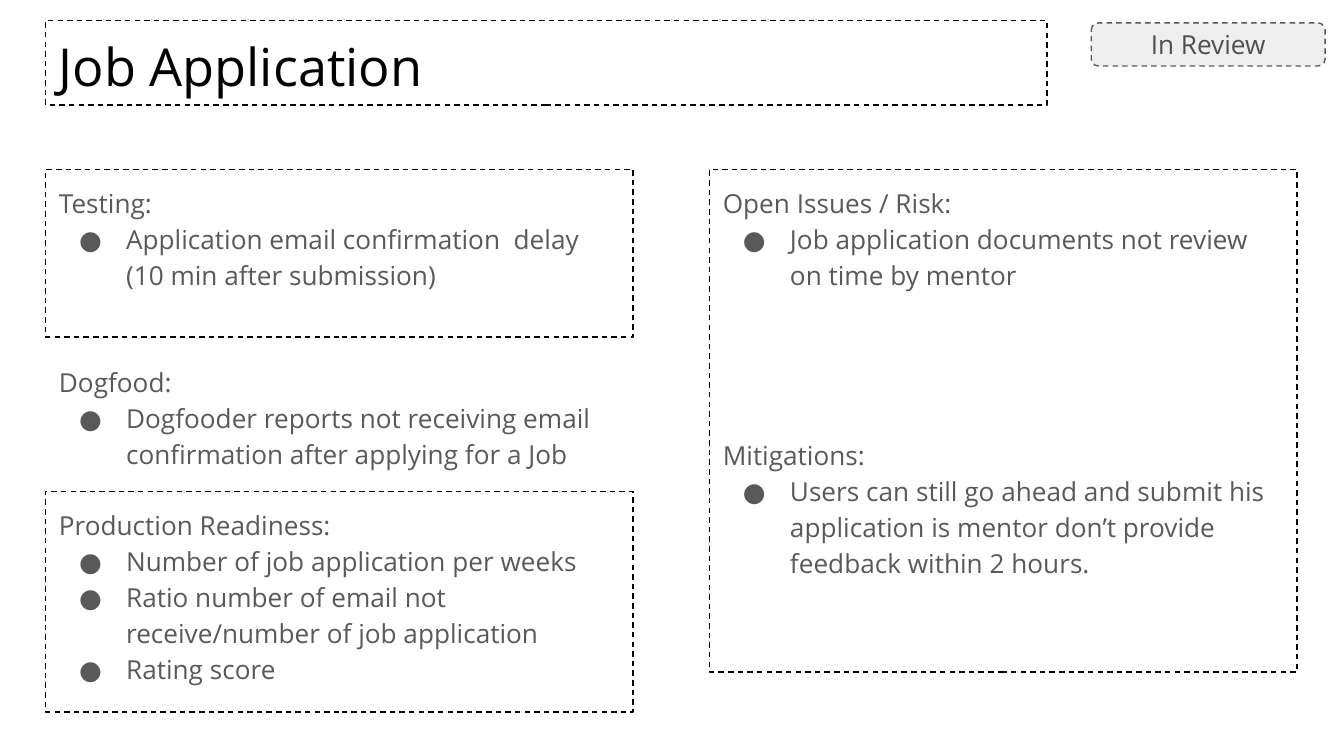
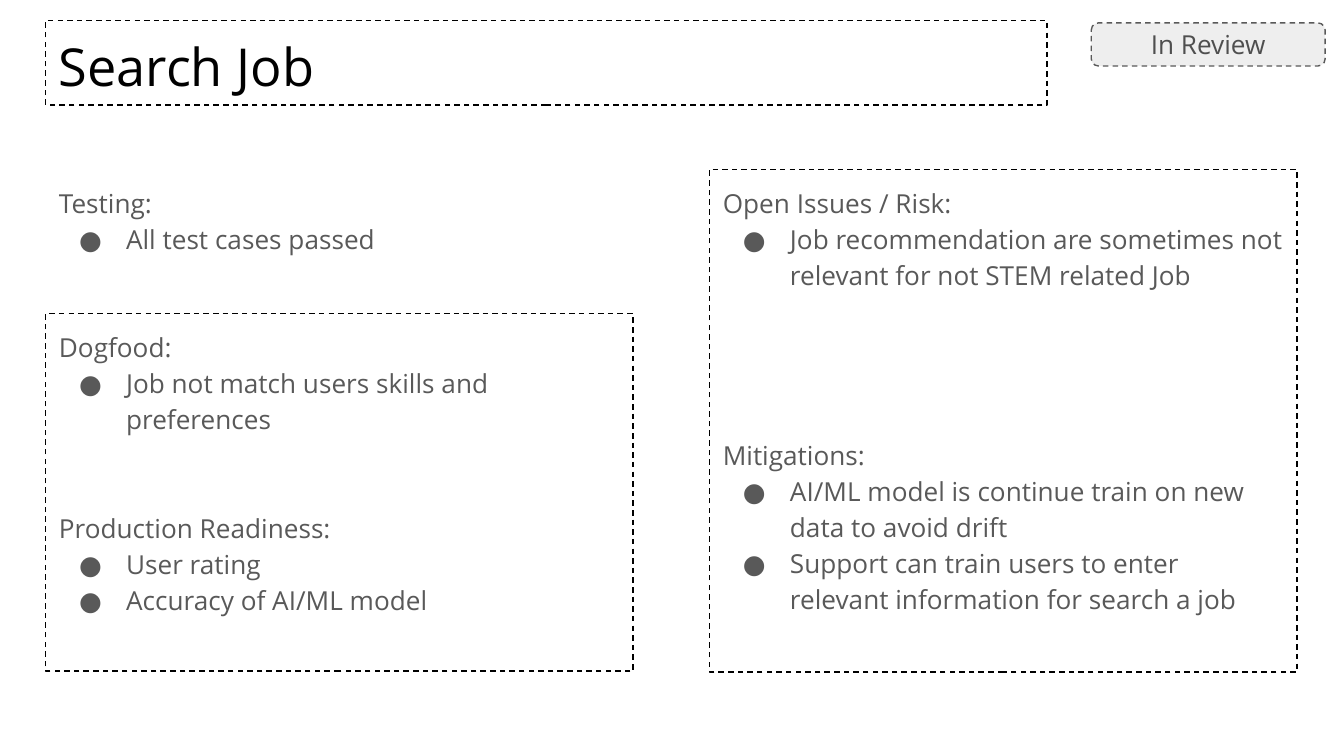
from collections import namedtuple

from lxml.etree import SubElement
from pptx import Presentation
from pptx.dml.color import RGBColor
from pptx.enum.dml import MSO_LINE
from pptx.enum.shapes import MSO_SHAPE
from pptx.enum.text import MSO_ANCHOR, PP_ALIGN
from pptx.oxml.ns import qn
from pptx.util import Inches, Pt

Box = namedtuple("Box", "left top width height")
Section = namedtuple("Section", "heading bullets gap", defaults=(0,))
Panel = namedtuple("Panel", "box sections framed", defaults=(True,))

WIDTH = Inches(10)
HEIGHT = WIDTH * 9 // 16
FONT = "Open Sans"
BLACK, GREY, BADGE_TEXT, BADGE_FILL = "000000", "595959", "4F4F4F", "EEEEEE"

LEFT, RIGHT, COLUMN, TOP = 3.4, 52.8, 43.7, 22.4
TITLE_BOX = Box(LEFT, 2.7, 74.5, 11.2)
BADGE_BOX = Box(81.2, 3.04, 17.4, 5.7)
RISK_BOX = Box(RIGHT, TOP, COLUMN, 66.5)

SLIDES = {
    "Job Application": [
        Panel(Box(LEFT, TOP, COLUMN, 22.2), [
            Section("Testing:", ["Application email confirmation  delay (10 min after submission)"]),
        ]),
        Panel(RISK_BOX, [
            Section("Open Issues / Risk:", ["Job application documents not review on time by mentor"]),
            Section("Mitigations:", [
                "Users can still go ahead and submit his application is mentor "
                "don’t provide feedback within 2 hours.",
            ], gap=77),
        ]),
        Panel(Box(LEFT, 65, COLUMN, 29.2), [
            Section("Production Readiness:", [
                "Number of job application per weeks",
                "Ratio number of email not receive/number of job application",
                "Rating score",
            ]),
        ]),
        Panel(Box(LEFT, 46.1, COLUMN, 17.4), [
            Section("Dogfood:", [
                "Dogfooder reports not receiving email confirmation after applying for a Job",
            ]),
        ], framed=False),
    ],
    "Search Job": [
        Panel(Box(LEFT, TOP, COLUMN, 14.8), [
            Section("Testing:", ["All test cases passed"]),
        ], framed=False),
        Panel(RISK_BOX, [
            Section("Open Issues / Risk:", [
                "Job recommendation are sometimes not relevant for not STEM related Job",
            ]),
            Section("Mitigations:", [
                "AI/ML model is continue train on new data to avoid drift",
                "Support can train users to enter relevant information for search a job",
            ], gap=77),
        ]),
        Panel(Box(LEFT, 41.5, COLUMN, 47.3), [
            Section("Dogfood:", ["Job not match users skills and preferences"]),
            Section("Production Readiness:", ["User rating", "Accuracy of AI/ML model"], gap=39),
        ]),
    ],
}


def color(hex_string):
    """Turn a hex string into a colour."""
    return RGBColor.from_string(hex_string)


def apply(target, formats):
    """Set each attribute of the target from a dict of values."""
    for name, value in formats.items():
        setattr(target, name, value)


def place(box):
    """Turn percentages of the slide into lengths."""
    return [round(share * side / 100) for share, side in zip(box, (WIDTH, HEIGHT) * 2)]


def dash_outline(shape, hex_string):
    """Give the shape a thin dashed outline."""
    apply(shape.line, {"width": Pt(0.75), "dash_style": MSO_LINE.DASH})
    shape.line.color.rgb = color(hex_string)


def prepare_frame(shape, anchor=MSO_ANCHOR.TOP):
    """Set wrapping, anchor and even margins, and return the text frame."""
    frame = shape.text_frame
    apply(frame, {"word_wrap": True, "vertical_anchor": anchor})
    apply(frame, {f"margin_{side}": Inches(0.1) for side in ("left", "top", "right", "bottom")})
    return frame


def write(para, text, size, hex_string, **formats):
    """Write one styled span in a paragraph."""
    apply(para, formats)
    span = para.add_run()
    span.text = text
    apply(span.font, {"name": FONT, "size": Pt(size)})
    span.font.color.rgb = color(hex_string)


def add_bullet(para):
    """Give a paragraph a hanging round bullet."""
    properties = para._p.get_or_add_pPr()
    properties.set("marL", str(Inches(0.5)))
    properties.set("indent", str(-Inches(0.35)))
    bullet_color = SubElement(properties, qn("a:buClr"))
    SubElement(bullet_color, qn("a:srgbClr"), val=GREY)
    SubElement(properties, qn("a:buFont"), typeface=FONT)
    SubElement(properties, qn("a:buChar"), char="●")


def add_title(page, box, text):
    """Add the framed slide title."""
    shape = page.shapes.add_textbox(*place(box))
    dash_outline(shape, BLACK)
    write(prepare_frame(shape).paragraphs[0], text, 28, BLACK)


def add_badge(page, box, text):
    """Add the rounded status badge."""
    shape = page.shapes.add_shape(MSO_SHAPE.ROUNDED_RECTANGLE, *place(box))
    shape.shadow.inherit = False
    shape.fill.solid()
    shape.fill.fore_color.rgb = color(BADGE_FILL)
    dash_outline(shape, GREY)
    para = prepare_frame(shape, MSO_ANCHOR.MIDDLE).paragraphs[0]
    write(para, text, 14, BADGE_TEXT, alignment=PP_ALIGN.CENTER)


def add_panel(page, panel):
    """Add a panel of headed bullet lists."""
    shape = page.shapes.add_textbox(*place(panel.box))
    if panel.framed:
        dash_outline(shape, BLACK)
    frame = prepare_frame(shape)
    for index, section in enumerate(panel.sections):
        para = frame.add_paragraph() if index else frame.paragraphs[0]
        write(para, section.heading, 14, GREY, line_spacing=1.15, space_before=Pt(section.gap))
        for bullet in section.bullets:
            para = frame.add_paragraph()
            write(para, bullet, 14, GREY, line_spacing=1.15)
            add_bullet(para)


def add_review_slide(deck, title, panels):
    """Add one feature review slide."""
    page = deck.slides.add_slide(deck.slide_layouts[6])
    add_badge(page, BADGE_BOX, "In Review")
    add_title(page, TITLE_BOX, title)
    for panel in panels:
        add_panel(page, panel)


def main():
    """Build and save the deck."""
    deck = Presentation()
    apply(deck, {"slide_width": WIDTH, "slide_height": HEIGHT})
    for title, panels in SLIDES.items():
        add_review_slide(deck, title, panels)
    deck.save("out.pptx")


if __name__ == "__main__":
    main()
